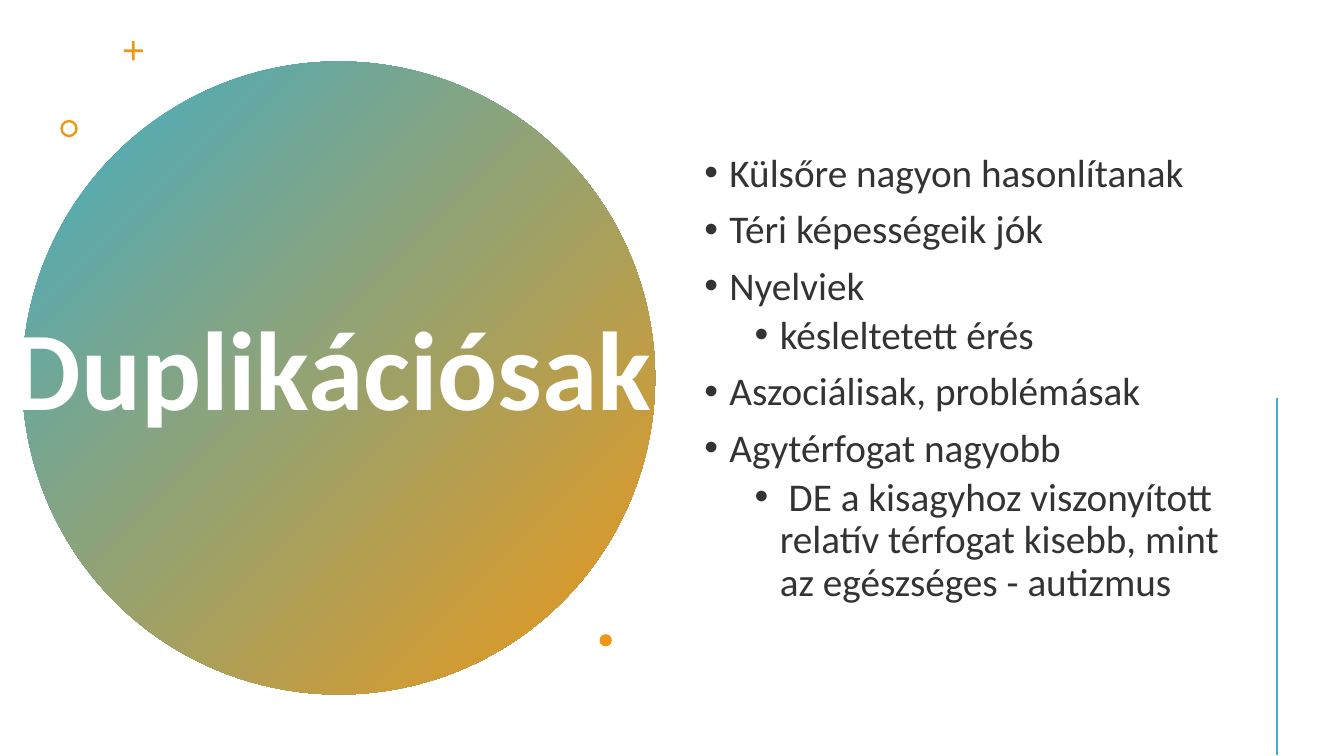
from lxml import etree
from pptx import Presentation
from pptx.dml.color import RGBColor
from pptx.enum.shapes import MSO_CONNECTOR, MSO_SHAPE
from pptx.enum.text import MSO_ANCHOR, PP_ALIGN
from pptx.oxml.ns import qn
from pptx.util import Cm, Pt

ELLIPSE, RING, PLUS = MSO_SHAPE.OVAL, MSO_SHAPE.DONUT, MSO_SHAPE.CROSS
MIDDLE, CENTER = MSO_ANCHOR.MIDDLE, PP_ALIGN.CENTER

FONT = "Calibri"
TEAL, ORANGE, WHITE, INK = "41ADC7", "EE9716", "FFFFFF", "333333"

TITLE = "Duplikációsak"
POINTS = [  # level, text
    (0, "Külsőre nagyon hasonlítanak"),
    (0, "Téri képességeik jók"),
    (0, "Nyelviek"),
    (1, "késleltetett érés"),
    (0, "Aszociálisak, problémásak"),
    (0, "Agytérfogat nagyobb"),
    (1, " DE a kisagyhoz viszonyított relatív térfogat kisebb, mint "
        "az egészséges - autizmus"),
]
ORNAMENTS = [  # shape, left, top, size, adjustment
    (PLUS, 3.12, 1.04, 0.48, 0.43),
    (RING, 1.52, 3.02, 0.44, 0.14),
    (ELLIPSE, 15.11, 15.98, 0.31, None),
]
SPACE_BEFORE = (10, 5)  # points, by level
HANGING = 0.635
LEVEL_STEP = 1.27


def color(hex_code):
    return RGBColor.from_string(hex_code)


def add_round(slide, kind, left, top, size):
    """Add a shape as wide as high, without outline or shadow."""
    shape = slide.shapes.add_shape(kind, Cm(left), Cm(top), Cm(size), Cm(size))
    shape.shadow.inherit = False
    shape.line.fill.background()
    return shape


def add_text_frame(slide, left, top, width, height):
    """Add a wrapping, vertically centred text box and return its frame."""
    frame = slide.shapes.add_textbox(Cm(left), Cm(top), Cm(width), Cm(height)).text_frame
    frame.word_wrap = True
    frame.vertical_anchor = MIDDLE
    return frame


def style(paragraph, size, hex_code, bold=False):
    paragraph.line_spacing = 0.9
    font = paragraph.font
    font.name, font.size, font.bold = FONT, Pt(size), bold
    font.color.rgb = color(hex_code)


def add_bullet(paragraph, level):
    properties = paragraph._p.get_or_add_pPr()
    properties.set("marL", str(Cm(HANGING + level * LEVEL_STEP)))
    properties.set("indent", str(-Cm(HANGING)))
    etree.SubElement(properties, qn("a:buFont")).set("typeface", "Arial")
    etree.SubElement(properties, qn("a:buChar")).set("char", "•")


def main():
    deck = Presentation()
    deck.slide_width, deck.slide_height = Cm(33.87), Cm(19.05)
    slide = deck.slides.add_slide(deck.slide_layouts[6])

    circle = add_round(slide, ELLIPSE, 0.56, 1.55, 15.95)
    circle.fill.gradient()
    circle.fill.gradient_angle = 315
    for stop, hex_code in zip(circle.fill.gradient_stops, (TEAL, ORANGE)):
        stop.color.rgb = color(hex_code)
    for stop, position in zip(circle.fill.gradient_stops, (0, 1)):
        stop.position = position

    heading = add_text_frame(slide, -0.23, 2.57, 17.17, 13.74).paragraphs[0]
    heading.text = TITLE
    heading.alignment = CENTER
    style(heading, 80, WHITE, bold=True)

    for kind, left, top, size, adjustment in ORNAMENTS:
        ornament = add_round(slide, kind, left, top, size)
        ornament.fill.solid()
        ornament.fill.fore_color.rgb = color(ORANGE)
        if adjustment is not None:
            ornament.adjustments[0] = adjustment

    points = add_text_frame(slide, 17.5, 1.45, 14.27, 16.2)
    for index, (level, text) in enumerate(POINTS):
        point = points.add_paragraph() if index else points.paragraphs[0]
        point.text = text
        point.level = level
        add_bullet(point, level)
        if index:
            point.space_before = Pt(SPACE_BEFORE[level])
        style(point, 28, INK)

    rule = slide.shapes.add_connector(
        MSO_CONNECTOR.STRAIGHT, Cm(32.18), Cm(10.03), Cm(32.18), Cm(19.03))
    rule.line.color.rgb = color(TEAL)
    rule.line.width = Pt(2)
    etree.SubElement(rule._element.spPr, qn("a:effectLst"))

    deck.save("out.pptx")


if __name__ == "__main__":
    main()
